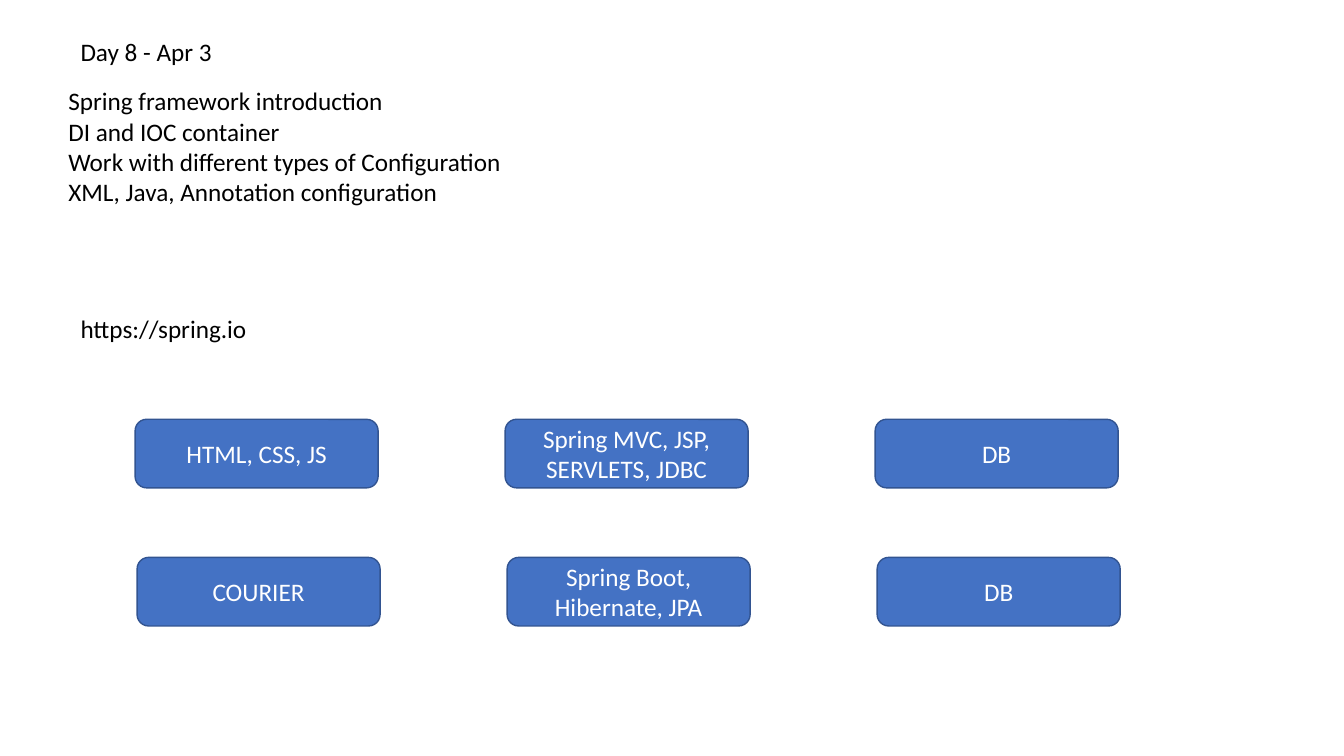
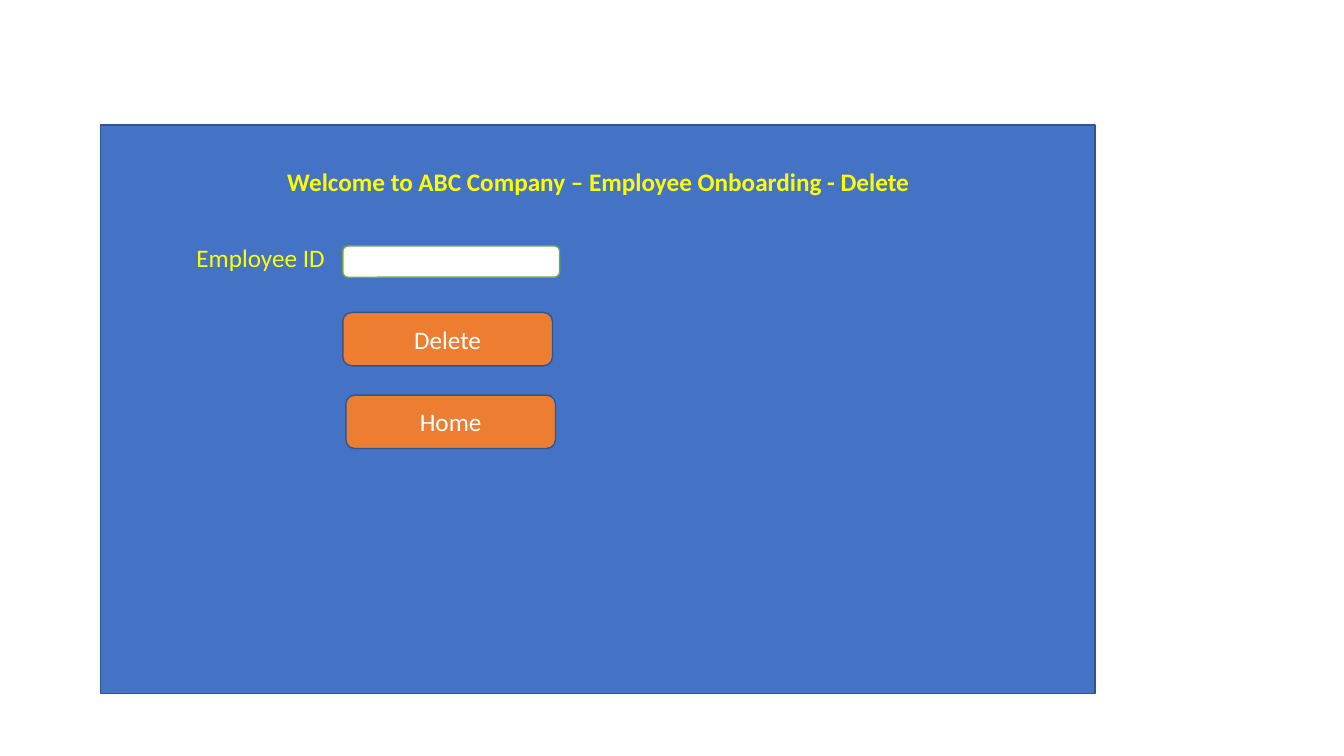
import pptx
import pptx.util
import pptx.dml.color
import pptx.enum.shapes
import pptx.enum.text

RGBColor = pptx.dml.color.RGBColor
MSO_SHAPE = pptx.enum.shapes.MSO_SHAPE
PP_ALIGN = pptx.enum.text.PP_ALIGN
MSO_ANCHOR = pptx.enum.text.MSO_ANCHOR
MSO_AUTO_SIZE = pptx.enum.text.MSO_AUTO_SIZE

BLACK = RGBColor(0x00, 0x00, 0x00)
WHITE = RGBColor(0xFF, 0xFF, 0xFF)
YELLOW = RGBColor(0xFF, 0xFF, 0x00)
BLUE = RGBColor(0x44, 0x72, 0xC4)
NAVY = RGBColor(0x32, 0x54, 0x91)
ORANGE = RGBColor(0xED, 0x7D, 0x31)
GREEN = RGBColor(0x70, 0xAD, 0x47)

EMU_PER_PX = 9144


def px(n):
    return pptx.util.Emu(n * EMU_PER_PX)


class Deck:
    font = "Calibri"
    size = pptx.util.Pt(18)
    line_width = pptx.util.Pt(1)

    def __init__(self, width, height):
        self.prs = pptx.Presentation()
        self.prs.slide_width = px(width)
        self.prs.slide_height = px(height)
        self.s = None

    def slide(self):
        self.s = self.prs.slides.add_slide(self.prs.slide_layouts[6])

    def run(self, p, text, color, bold=False):
        r = p.add_run()
        r.text = text
        r.font.name = self.font
        r.font.size = self.size
        r.font.bold = bold
        r.font.color.rgb = color

    def text(self, x, y, w, h, lines, color=BLACK, bold=False):
        tf = self.s.shapes.add_textbox(px(x), px(y), px(w), px(h)).text_frame
        tf.word_wrap = True
        tf.auto_size = MSO_AUTO_SIZE.SHAPE_TO_FIT_TEXT
        for i, line in enumerate(lines):
            p = tf.add_paragraph() if i else tf.paragraphs[0]
            self.run(p, line, color, bold)

    def box(self, x, y, w, h, text="", fill=BLUE, line=NAVY,
            kind=MSO_SHAPE.ROUNDED_RECTANGLE, parent=None):
        shapes = (parent or self.s).shapes
        sp = shapes.add_shape(kind, px(x), px(y), px(w), px(h))
        sp.shadow.inherit = False
        sp.fill.solid()
        sp.fill.fore_color.rgb = fill
        sp.line.color.rgb = line
        sp.line.width = self.line_width
        if text:
            tf = sp.text_frame
            tf.word_wrap = True
            tf.vertical_anchor = MSO_ANCHOR.MIDDLE
            p = tf.paragraphs[0]
            p.alignment = PP_ALIGN.CENTER
            self.run(p, text, WHITE)

    def tier_row(self, x, y, labels, step=367):
        group = self.s.shapes.add_group_shape()
        for i, label in enumerate(labels):
            self.box(x + i * step, y, 241, 68, label, parent=group)

    def save(self):
        self.prs.save("out.pptx")


def agenda_slide(deck):
    deck.slide()
    deck.text(58, 80, 946, 131, [
        "Spring framework introduction",
        "DI and IOC container",
        "Work with different types of Configuration",
        "XML, Java, Annotation configuration",
    ])
    deck.text(70, 306, 732, 40, ["https://spring.io"])
    deck.tier_row(134, 416, ["HTML, CSS, JS", "Spring MVC, JSP, SERVLETS, JDBC", "DB"])
    deck.tier_row(136, 553, ["COURIER", "Spring Boot, Hibernate, JPA", "DB"])
    deck.text(70, 31, 489, 40, ["Day 8 - Apr 3"])


def delete_form_slide(deck):
    deck.slide()
    deck.box(100, 124, 986, 564, kind=MSO_SHAPE.RECTANGLE)
    deck.text(275, 160, 695, 40,
              ["Welcome to ABC Company – Employee Onboarding - Delete"], YELLOW, True)
    deck.text(185, 235, 154, 40, ["Employee ID"], YELLOW)
    deck.box(340, 244, 215, 31, fill=WHITE, line=GREEN)
    for x, y, label in [(340, 310, "Delete"), (343, 392, "Home")]:
        deck.box(x, y, 208, 53, label, fill=ORANGE)


def main():
    deck = Deck(1333, 750)
    agenda_slide(deck)
    delete_form_slide(deck)
    deck.save()


if __name__ == "__main__":
    main()
